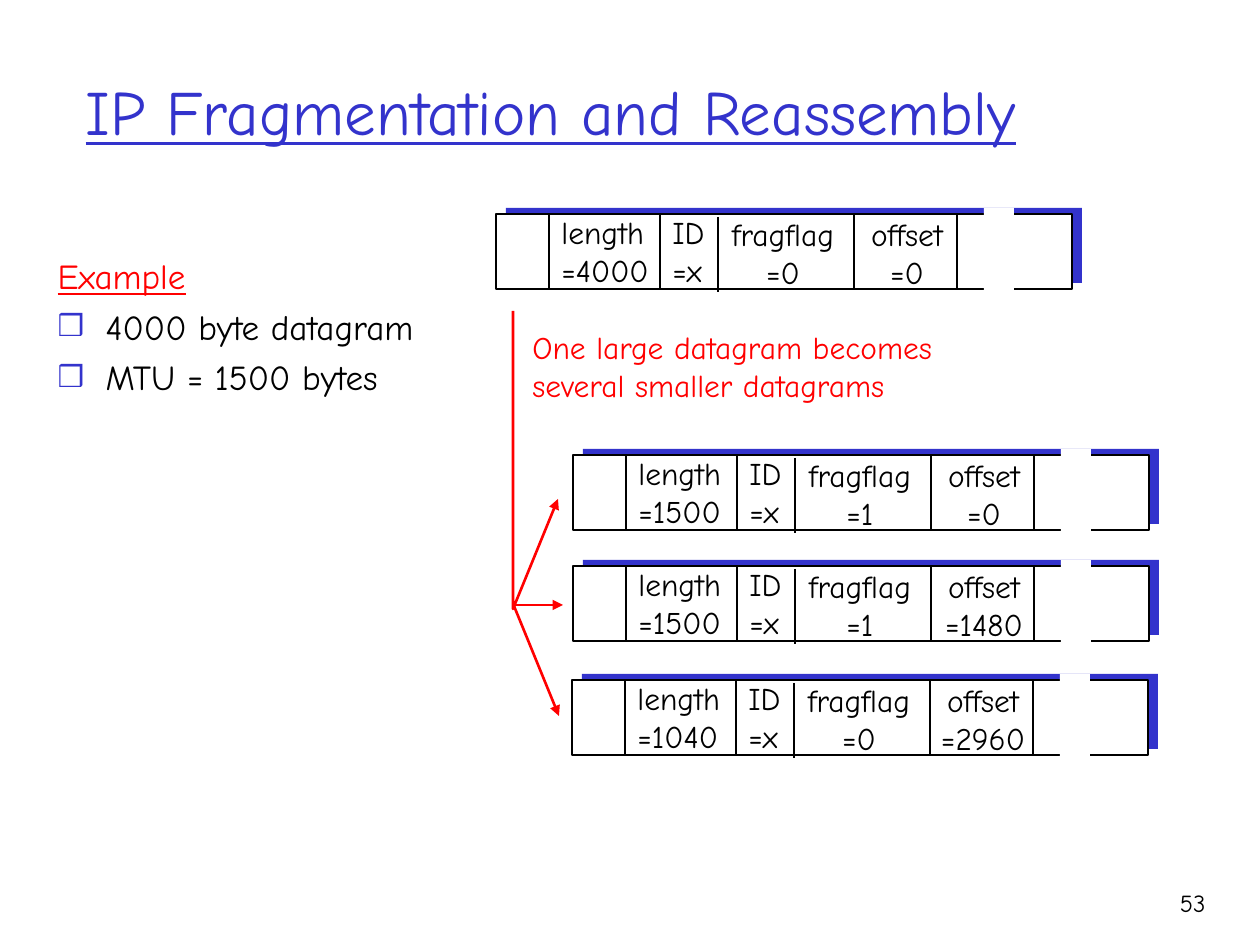
from pptx import Presentation
from pptx.dml.color import RGBColor
from pptx.enum.shapes import MSO_SHAPE as Shape, MSO_CONNECTOR as Conn
from pptx.enum.text import PP_ALIGN as Align, MSO_ANCHOR as Anchor, MSO_AUTO_SIZE as Auto
from pptx.oxml.ns import qn
from pptx.util import Pt
from lxml.etree import SubElement as Sub

PX = 914400 // 126
FONT = "Comic Neue"
BLUE, RED, BLACK, WHITE = "3333CC", "FF0000", "000000", "FFFFFF"
rgb = RGBColor.from_string


def style(para, size, color, align=Align.LEFT, under=False):
    para.alignment = align
    font = para.font
    font.name, font.size, font.underline = FONT, Pt(size), under
    font.color.rgb = rgb(color)


def label(x, y, w, h, lines, size=18, color=BLACK, align=Align.LEFT):
    box = shapes.add_textbox(x * PX, y * PX, w * PX, h * PX)
    frame = box.text_frame
    frame.text = "\n".join(lines)
    frame.word_wrap = False
    for para in frame.paragraphs:
        style(para, size, color, align)


prs = Presentation()
prs.slide_width, prs.slide_height = 1260 * PX, 945 * PX
slide = prs.slides.add_slide(prs.slide_layouts[1])
shapes = slide.shapes

# Title
title = shapes.title
title.left, title.top, title.width, title.height = [v * PX for v in (73, 32, 1071, 157)]
title.text = "IP Fragmentation and Reassembly"
title.text_frame.vertical_anchor = Anchor.MIDDLE
style(title.text_frame.paragraphs[0], 36, BLUE, under=True)

# Datagrams: left, top, length, flag, offset
rows = [
    (496, 214, 4000, 0, 0),
    (573, 455, 1500, 1, 0),
    (573, 566, 1500, 1, 1480),
    (572, 680, 1040, 0, 2960),
]
for left, top, length, flag, offset in rows:
    # Shadow and frame
    for dx, dy, fill, edge in ((10, -6, BLUE, None), (0, 0, WHITE, BLACK)):
        rect = shapes.add_shape(Shape.RECTANGLE, (left + dx) * PX, (top + dy) * PX,
                                576 * PX, 75 * PX)
        rect.shadow.inherit = False
        rect.fill.solid()
        rect.fill.fore_color.rgb = rgb(fill)
        if edge:
            rect.line.color.rgb = rgb(edge)
            rect.line.width = Pt(1.5)
        else:
            rect.line.fill.background()

    # Header fields, each box wider than its text
    fields = [
        (53, -7, 130, "length", length, Align.LEFT),
        (164, -7, 70, "ID", "x", Align.LEFT),
        (212, -5, 150, "fragflag", flag, Align.CENTER),
        (346, -5, 130, "offset", offset, Align.CENTER),
    ]
    for dx, dy, w, name, value, align in fields:
        label(left + dx, top + dy, w, 88, [name, f"={value}"], align=align)

    # Dividers
    for dx, dy in ((53, 0), (164, 0), (222, 3), (358, 0), (461, 0)):
        x, y = (left + dx) * PX, (top + dy) * PX
        line = shapes.add_connector(Conn.STRAIGHT, x, y, x, y + 75 * PX)
        line.line.color.rgb = rgb(BLACK)
        line.line.width = Pt(1.5)
        Sub(line._element.spPr, qn("a:effectLst"))

    # Break in the data field
    gap = shapes.add_shape(Shape.RECTANGLE, (left + 488) * PX, (top - 6) * PX,
                           30 * PX, 83 * PX)
    gap.shadow.inherit = False
    gap.fill.solid()
    gap.fill.fore_color.rgb = rgb(WHITE)
    gap.line.fill.background()

# Arrows to the three fragments
build = shapes.build_freeform(513, 311, scale=PX)
build.add_line_segments([(513, 609), (558, 499)], close=False)
path = build.convert_to_shape()
path.fill.background()
path.shadow.inherit = False
arrows = [path]
for x1, y1, x2, y2 in ((513, 605, 563, 605), (514, 606, 559, 716)):
    arrow = shapes.add_connector(Conn.STRAIGHT, x1 * PX, y1 * PX, x2 * PX, y2 * PX)
    arrows.append(arrow)
for arrow in arrows:
    arrow.line.color.rgb = rgb(RED)
    arrow.line.width = Pt(1.5)
    Sub(arrow.line._get_or_add_ln(), qn("a:tailEnd"), type="triangle")
for arrow in arrows[1:]:
    Sub(arrow._element.spPr, qn("a:effectLst"))

label(520, 322, 440, 88, ["One large datagram becomes", "several smaller datagrams"], color=RED)

# Example list
body = slide.placeholders[1]
body.left, body.top, body.width, body.height = [v * PX for v in (45, 248, 391, 232)]
frame = body.text_frame
frame.text = "Example\n4000 byte datagram\nMTU = 1500 bytes"
frame.auto_size = Auto.NONE
for i, para in enumerate(frame.paragraphs):
    props = para._p.get_or_add_pPr()
    props.set("marL", str(48 * PX))
    props.set("indent", str(-48 * PX))
    para.space_before = Pt(5 if i else 0)
    if i:
        Sub(Sub(props, qn("a:buClr")), qn("a:srgbClr"), val=BLUE)
        Sub(props, qn("a:buSzPct"), val="85000")
        Sub(props, qn("a:buChar"), char="❒")
    else:
        Sub(props, qn("a:buNone"))
    style(para, 20, BLACK if i else RED, under=not i)

# Slide number
label(1125, 882, 93, 63, ["53"], 14, align=Align.RIGHT)

prs.save("out.pptx")
